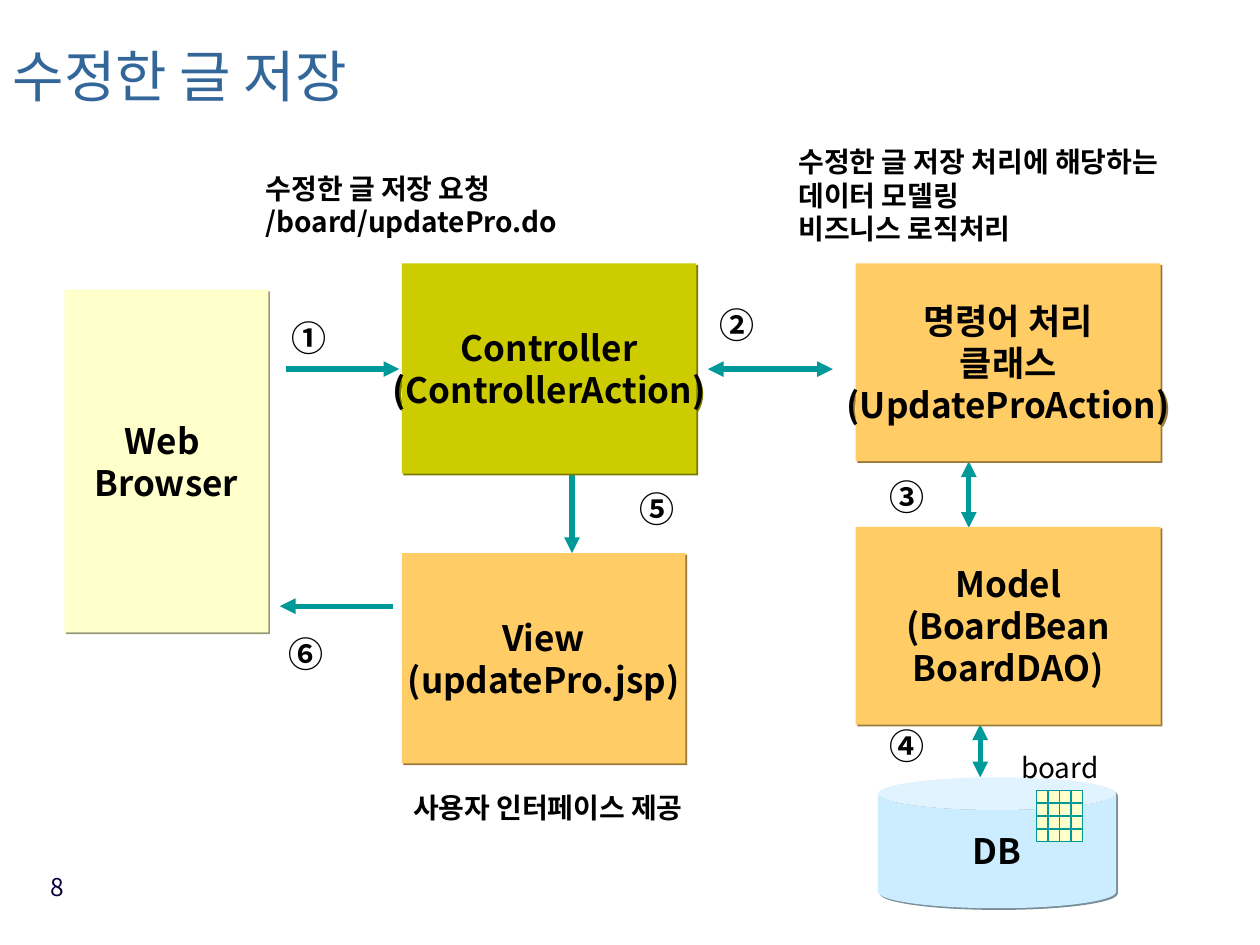
"""Build the slide that shows how an edited post is saved."""
from dataclasses import dataclass
from itertools import product

from lxml import etree
from pptx import Presentation
from pptx.dml.color import RGBColor
from pptx.enum.shapes import MSO_CONNECTOR, MSO_SHAPE
from pptx.enum.text import MSO_ANCHOR, MSO_AUTO_SIZE, PP_ALIGN
from pptx.oxml.ns import qn
from pptx.shapes.base import BaseShape
from pptx.slide import Slide
from pptx.text.text import TextFrame
from pptx.util import Cm, Pt

RECTANGLE, CAN = MSO_SHAPE.RECTANGLE, MSO_SHAPE.CAN
STRAIGHT = MSO_CONNECTOR.STRAIGHT
LEFT, CENTER, RIGHT = PP_ALIGN.LEFT, PP_ALIGN.CENTER, PP_ALIGN.RIGHT
MIDDLE = MSO_ANCHOR.MIDDLE
NO_FIT = MSO_AUTO_SIZE.NONE

FONT = "Noto Sans CJK KR"
INK = RGBColor(0x01, 0x00, 0x00)
NAVY = RGBColor(0x08, 0x00, 0x3A)
BLUE = RGBColor(0x33, 0x66, 0x99)
TEAL = RGBColor(0x00, 0x99, 0x99)
CREAM = RGBColor(0xFF, 0xFF, 0xCC)
ORANGE = RGBColor(0xFF, 0xCC, 0x66)
OLIVE = RGBColor(0xCC, 0xCC, 0x00)
SKY = RGBColor(0xCC, 0xEC, 0xFF)


@dataclass
class Block:
    text: str
    left: float
    top: float
    width: float
    height: float
    fill: RGBColor
    kind: MSO_SHAPE = RECTANGLE


@dataclass
class Label:
    text: str
    left: float
    top: float
    width: float = 1.2
    height: float = 0.84
    size: int = 20
    bold: bool = True
    align: PP_ALIGN = LEFT
    color: RGBColor = INK


@dataclass
class Arrow:
    x1: float
    y1: float
    x2: float
    y2: float
    both: bool = False


BLOCKS = [
    Block("Web \nBrowser", 1.3, 5.84, 4.11, 6.91, CREAM),
    Block("View\n(updatePro.jsp)", 8.1, 11.15, 5.72, 4.24, ORANGE),
    Block("Controller\n(ControllerAction)", 8.1, 5.31, 5.94, 4.24, OLIVE),
    Block("명령어 처리\n클래스\n(UpdateProAction)", 17.25, 5.31, 6.15, 3.99, ORANGE),
    Block("Model\n(BoardBean\nBoardDAO)", 17.25, 10.62, 6.15, 3.99, ORANGE),
    Block("DB", 17.7, 15.67, 4.8, 2.64, SKY, CAN),
]
ARROWS = [
    Arrow(5.77, 7.44, 8.05, 7.44),
    Arrow(7.92, 12.22, 5.64, 12.22),
    Arrow(11.53, 9.3, 11.53, 11.15),
    Arrow(14.27, 7.44, 16.79, 7.44, True),
    Arrow(19.53, 9.3, 19.53, 10.64, True),
    Arrow(19.76, 14.6, 19.76, 15.67, True),
]
LABELS = [
    Label("①", 5.87, 6.38),
    Label("②", 14.5, 6.12),
    Label("③", 17.93, 9.58),
    Label("④", 17.93, 14.6),
    Label("⑤", 12.9, 9.83),
    Label("⑥", 5.82, 12.75),
    Label("수정한 글 저장 요청 /board/updatePro.do", 5.36, 3.45, 6.63, 1.35, 16),
    Label("수정한 글 저장 처리에 해당하는 데이터 모델링\n비즈니스 로직처리", 16.1, 2.92, 8, 2.03, 16),
    Label("사용자 인터페이스 제공", 8.33, 15.93, 6.86, 0.69, 16),
    Label("board", 20.45, 15.14, 1.83, 0.69, 16, False, CENTER),
    Label("8", 0.36, 17.58, 0.94, 0.69, 14, False, RIGHT, NAVY),
]


def write(frame: TextFrame, text: str, size: int, color: RGBColor, bold: bool, align: PP_ALIGN) -> None:
    frame.text = text
    for paragraph in frame.paragraphs:
        paragraph.alignment = align
        for span in paragraph.runs:
            font = span.font
            font.name, font.size, font.bold = FONT, Pt(size), bold
            font.color.rgb = color
            east_asian = etree.SubElement(font._element, qn("a:ea"))
            east_asian.set("typeface", FONT)


def add_shadow(shape: BaseShape, fill: RGBColor) -> None:
    effects = shape._element.spPr.find(qn("a:effectLst"))
    shadow = etree.SubElement(effects, qn("a:outerShdw"), dist=str(Pt(1.4)), dir="2700000", algn="ctr", rotWithShape="0")
    shade = RGBColor(*(round(part * 0.6) for part in fill))
    etree.SubElement(shadow, qn("a:srgbClr"), val=str(shade))


def add_block(page: Slide, block: Block) -> None:
    box = page.shapes.add_shape(block.kind, Cm(block.left), Cm(block.top), Cm(block.width), Cm(block.height))
    box.shadow.inherit = False
    box.fill.solid()
    box.fill.fore_color.rgb = block.fill
    box.line.fill.background()
    add_shadow(box, block.fill)
    frame = box.text_frame
    frame.word_wrap = False
    frame.vertical_anchor = MIDDLE
    write(frame, block.text, 20, INK, True, CENTER)


def add_label(page: Slide, label: Label) -> None:
    box = page.shapes.add_textbox(Cm(label.left), Cm(label.top), Cm(label.width), Cm(label.height))
    frame = box.text_frame
    frame.word_wrap = True
    frame.margin_left = frame.margin_right = frame.margin_top = frame.margin_bottom = 0
    write(frame, label.text, label.size, label.color, label.bold, label.align)


def add_arrow(page: Slide, arrow: Arrow) -> None:
    connector = page.shapes.add_connector(STRAIGHT, Cm(arrow.x1), Cm(arrow.y1), Cm(arrow.x2), Cm(arrow.y2))
    connector.line.color.rgb = TEAL
    connector.line.width = Pt(3)
    outline = connector.line._get_or_add_ln()
    for end in ("a:headEnd", "a:tailEnd") if arrow.both else ("a:tailEnd",):
        etree.SubElement(outline, qn(end), type="triangle")
    etree.SubElement(connector._element.spPr, qn("a:effectLst"))


def add_board_grid(page: Slide, left: float, top: float, width: float, height: float) -> None:
    for row, column in product(range(4), repeat=2):
        cell = page.shapes.add_shape(
            RECTANGLE, Cm(left + column * width), Cm(top + row * height), Cm(width), Cm(height))
        cell.shadow.inherit = False
        cell.fill.solid()
        cell.fill.fore_color.rgb = CREAM
        cell.line.color.rgb = TEAL
        cell.line.width = Pt(0.75)


def set_title(page: Slide, text: str) -> None:
    title = page.shapes.title
    title.left, title.top, title.width, title.height = Cm(0), Cm(0.53), Cm(16.31), Cm(2.29)
    frame = title.text_frame
    frame.auto_size = NO_FIT
    frame.vertical_anchor = MIDDLE
    write(frame, text, 32, BLUE, False, LEFT)
    frame.paragraphs[0].line_spacing = 0.7


def main() -> None:
    deck = Presentation()
    deck.slide_width, deck.slide_height = Cm(25.4), Cm(19.05)
    page = deck.slides.add_slide(deck.slide_layouts[5])
    set_title(page, "수정한 글 저장")
    for arrow in ARROWS:
        add_arrow(page, arrow)
    for block in BLOCKS:
        add_block(page, block)
    for label in LABELS:
        add_label(page, label)
    add_board_grid(page, 20.9, 15.93, 0.23, 0.26)
    deck.save("out.pptx")


if __name__ == "__main__":
    main()
